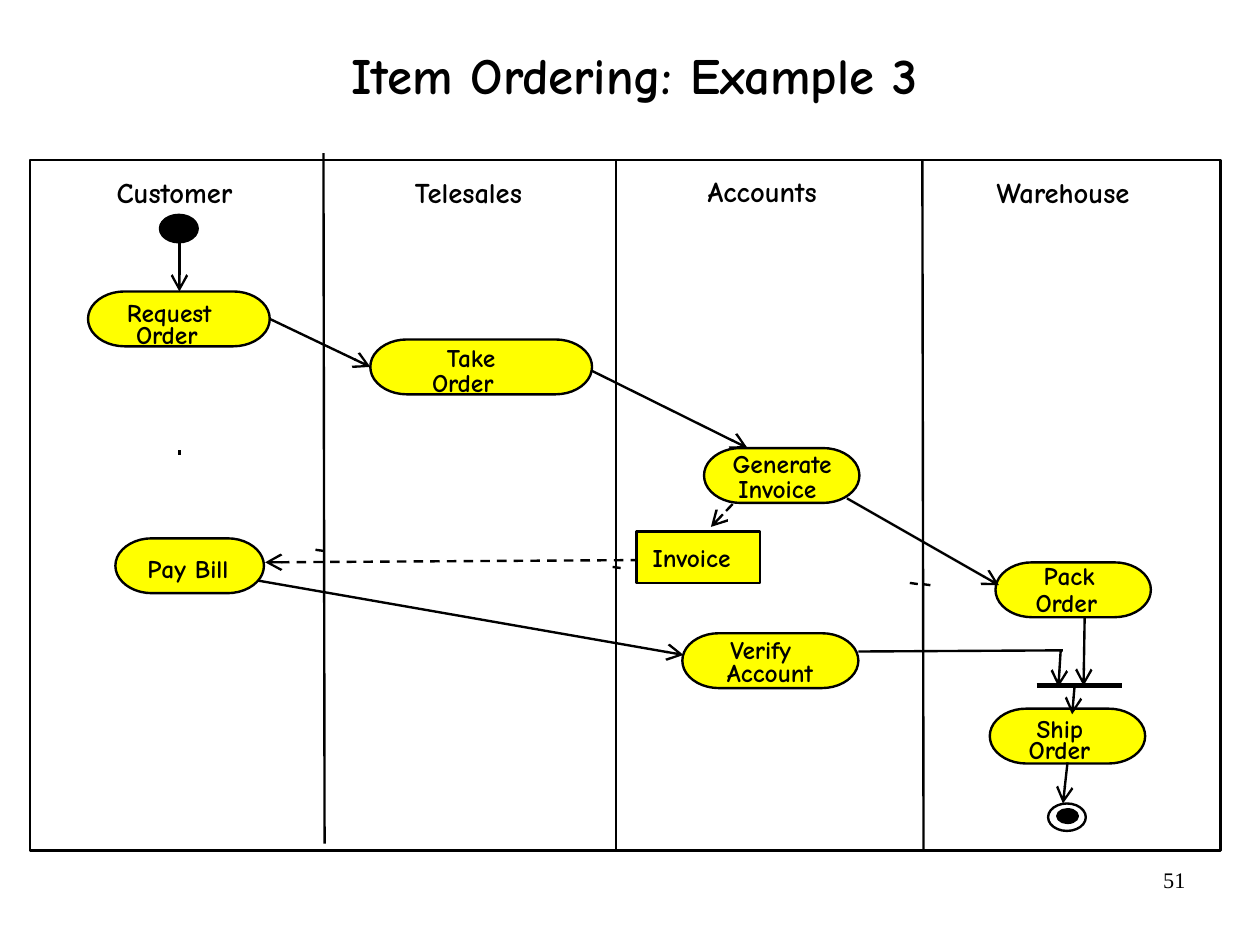
from dataclasses import dataclass
from math import cos, pi, sin

from lxml.etree import SubElement
from pptx import Presentation
from pptx.dml.color import RGBColor
from pptx.enum.dml import MSO_LINE
from pptx.enum.shapes import MSO_CONNECTOR, MSO_SHAPE
from pptx.enum.text import MSO_ANCHOR, PP_ALIGN
from pptx.oxml.ns import qn
from pptx.util import Cm, Pt

EMU_PER_PX = 9144
PILL_HEIGHT = 48
PILL_END = 32


@dataclass(frozen=True)
class Theme:
    """Colours, fonts and sizes of the slide."""
    ink: RGBColor = RGBColor(0, 0, 0)
    state: RGBColor = RGBColor(255, 255, 0)
    font: str = "Comic Neue"
    number_font: str = "Times New Roman"
    title_size: int = 32
    lane_size: int = 18
    state_size: int = 16
    number_size: int = 14
    line: float = 1.5
    bar: float = 3


@dataclass(frozen=True)
class Box:
    """A rectangle in px."""
    left: int
    top: int
    width: int
    height: int

    def inner(self, left, top, width, height):
        """Return a box placed relative to this one."""
        return Box(self.left + left, self.top + top, width, height)

    def emu(self):
        """Return left, top, width and height in EMU."""
        return [emu(v) for v in (self.left, self.top, self.width, self.height)]


THEME = Theme()

LANES = [("Customer", 76, 13, 112), ("Telesales", 337, 13, 112),
         ("Accounts", 593, 12, 108), ("Warehouse", 846, 13, 134)]
DIVIDERS = [(257, -6, 258, 598), (513, 0, 513, 604), (781, 0, 782, 604)]
TICKS = [(131, 254, 131, 258), (250, 341, 257, 342), (510, 356, 517, 357),
         (770, 370, 777, 371), (781, 371, 788, 372)]
STATES = [
    (51, 115, 159, [("Request", 34, 5, 84), ("Order", 42, 24, 65)]),
    (298, 157, 194, [("Take", 67, 2, 53), ("Order", 54, 24, 65)]),
    (590, 252, 136, [("Generate", 25, 0, 99), ("Invoice", 30, 22, 77)]),
    (75, 331, 130, [("Pay Bill", 28, 13, 80)]),
    (845, 352, 136, [("Pack", 42, -2, 48), ("Order", 35, 22, 65)]),
    (571, 414, 154, [("Verify", 42, 1, 69), ("Account", 39, 21, 85)]),
    (840, 480, 136, [("Ship", 41, 4, 47), ("Order", 34, 22, 65)]),
]
OBJECT_FLOWS = [(615, 301, 596, 321), (534, 350, 206, 352)]
FLOWS = [(131, 73, 131, 115), (210, 139, 298, 181), (491, 184, 628, 252),
         (715, 296, 848, 372), (200, 368, 572, 433), (902, 429, 900, 461),
         (923, 399, 922, 460), (914, 462, 912, 485), (908, 527, 904, 563)]
VERIFIED_FLOW = (725, 430, 904, 429)
JOIN_BAR = (881, 460, 956, 460)


def emu(px):
    """Turn px into EMU."""
    return round(px * EMU_PER_PX)


def style_shape(shape, fill=None):
    """Give a shape its outline and fill, without shadow."""
    shape.shadow.inherit = False
    shape.line.color.rgb = THEME.ink
    shape.line.width = Pt(THEME.line)
    if fill is None:
        shape.fill.background()
    else:
        shape.fill.solid()
        shape.fill.fore_color.rgb = fill


def style_text(paragraph, size, name=THEME.font, bold=True):
    """Set the font of a paragraph."""
    font = paragraph.font
    font.name, font.size, font.bold = name, Pt(size), bold
    font.color.rgb = THEME.ink


def add_preset(slide, box, kind, fill=None):
    """Add a preset shape that fills the box."""
    style_shape(slide.shapes.add_shape(kind, *box.emu()), fill)


def clear_margins(frame):
    """Remove the inner margins of a text frame."""
    frame.margin_left = frame.margin_top = 0
    frame.margin_right = frame.margin_bottom = 0


def add_label(slide, box, text, size):
    """Add one line of text without margins."""
    frame = slide.shapes.add_textbox(*box.emu()).text_frame
    clear_margins(frame)
    frame.word_wrap = False
    frame.text = text
    style_text(frame.paragraphs[0], size)


def add_line(slide, box, ends, width=THEME.line, arrow=False, dashed=False):
    """Add a line between two points relative to the box."""
    x1, y1, x2, y2 = ends
    connector = slide.shapes.add_connector(
        MSO_CONNECTOR.STRAIGHT, emu(box.left + x1), emu(box.top + y1),
        emu(box.left + x2), emu(box.top + y2))
    connector.line.color.rgb = THEME.ink
    connector.line.width = Pt(width)
    if dashed:
        connector.line.dash_style = MSO_LINE.DASH
    if arrow:
        outline = connector._element.spPr.find(qn("a:ln"))
        SubElement(outline, qn("a:tailEnd"), type="arrow", w="lg", len="lg")
    SubElement(connector._element.spPr, qn("a:effectLst"))


def add_pill(slide, box):
    """Add a state outline with elliptical ends."""
    radius = box.height / 2
    middle = box.top + radius
    points = []
    for centre, start in ((box.left + box.width - PILL_END, -pi / 2),
                          (box.left + PILL_END, pi / 2)):
        for step in range(21):
            angle = start + pi * step / 20
            points.append((emu(centre + PILL_END * cos(angle)),
                           emu(middle + radius * sin(angle))))
    builder = slide.shapes.build_freeform(*points[0])
    builder.add_line_segments(points[1:], close=True)
    style_shape(builder.convert_to_shape(), THEME.state)


def add_state(slide, box, labels):
    """Add an activity state and its words."""
    add_pill(slide, box)
    for text, left, top, width in labels:
        add_label(slide, box.inner(left, top, width, 27), text, THEME.state_size)


def add_title(slide, box):
    """Fill and place the title placeholder."""
    title = slide.shapes.title
    title.left, title.top, title.width, title.height = box.emu()
    frame = title.text_frame
    clear_margins(frame)
    frame.vertical_anchor = MSO_ANCHOR.MIDDLE
    frame.text = "Item Ordering: Example 3"
    paragraph = frame.paragraphs[0]
    paragraph.alignment = PP_ALIGN.CENTER
    paragraph.line_spacing = 0.88
    style_text(paragraph, THEME.title_size)


def add_swimlanes(slide, box):
    """Add the frame, lane dividers, tick marks and lane names."""
    add_preset(slide, box, MSO_SHAPE.RECTANGLE)
    for ends in DIVIDERS + TICKS:
        add_line(slide, box, ends)
    for text, left, top, width in LANES:
        add_label(slide, box.inner(left, top, width, 30), text, THEME.lane_size)


def add_activities(slide, box):
    """Add the states, the invoice object and all flows."""
    for ends in OBJECT_FLOWS:
        add_line(slide, box, ends, arrow=True, dashed=True)
    for left, top, width, labels in STATES:
        add_state(slide, box.inner(left, top, width, PILL_HEIGHT), labels)
    invoice = box.inner(531, 325, 108, 45)
    add_preset(slide, invoice, MSO_SHAPE.RECTANGLE, THEME.state)
    add_label(slide, invoice.inner(14, 9, 77, 27), "Invoice", THEME.state_size)
    add_preset(slide, box.inner(114, 48, 33, 24), MSO_SHAPE.OVAL, THEME.ink)
    final = box.inner(891, 563, 33, 24)
    add_preset(slide, final, MSO_SHAPE.OVAL)
    add_preset(slide, final.inner(8, 5, 18, 12), MSO_SHAPE.OVAL, THEME.ink)
    add_line(slide, box, VERIFIED_FLOW)
    add_line(slide, box, JOIN_BAR, THEME.bar)
    for ends in FLOWS:
        add_line(slide, box, ends, arrow=True)


def add_page_number(slide, box):
    """Add the page number at the right of the box."""
    frame = slide.shapes.add_textbox(*box.emu()).text_frame
    frame.word_wrap = True
    frame.text = "51"
    frame.paragraphs[0].alignment = PP_ALIGN.RIGHT
    style_text(frame.paragraphs[0], THEME.number_size, THEME.number_font, False)


def main():
    """Build and save the slide."""
    presentation = Presentation()
    presentation.slide_width = Cm(28)
    presentation.slide_height = Cm(21)
    slide = presentation.slides.add_slide(presentation.slide_layouts[5])
    diagram = Box(26, 140, 1042, 604)
    add_title(slide, Box(85, 0, 940, 137))
    add_swimlanes(slide, diagram)
    add_activities(slide, diagram)
    add_page_number(slide, Box(790, 753, 257, 57))
    presentation.save("out.pptx")


if __name__ == "__main__":
    main()
